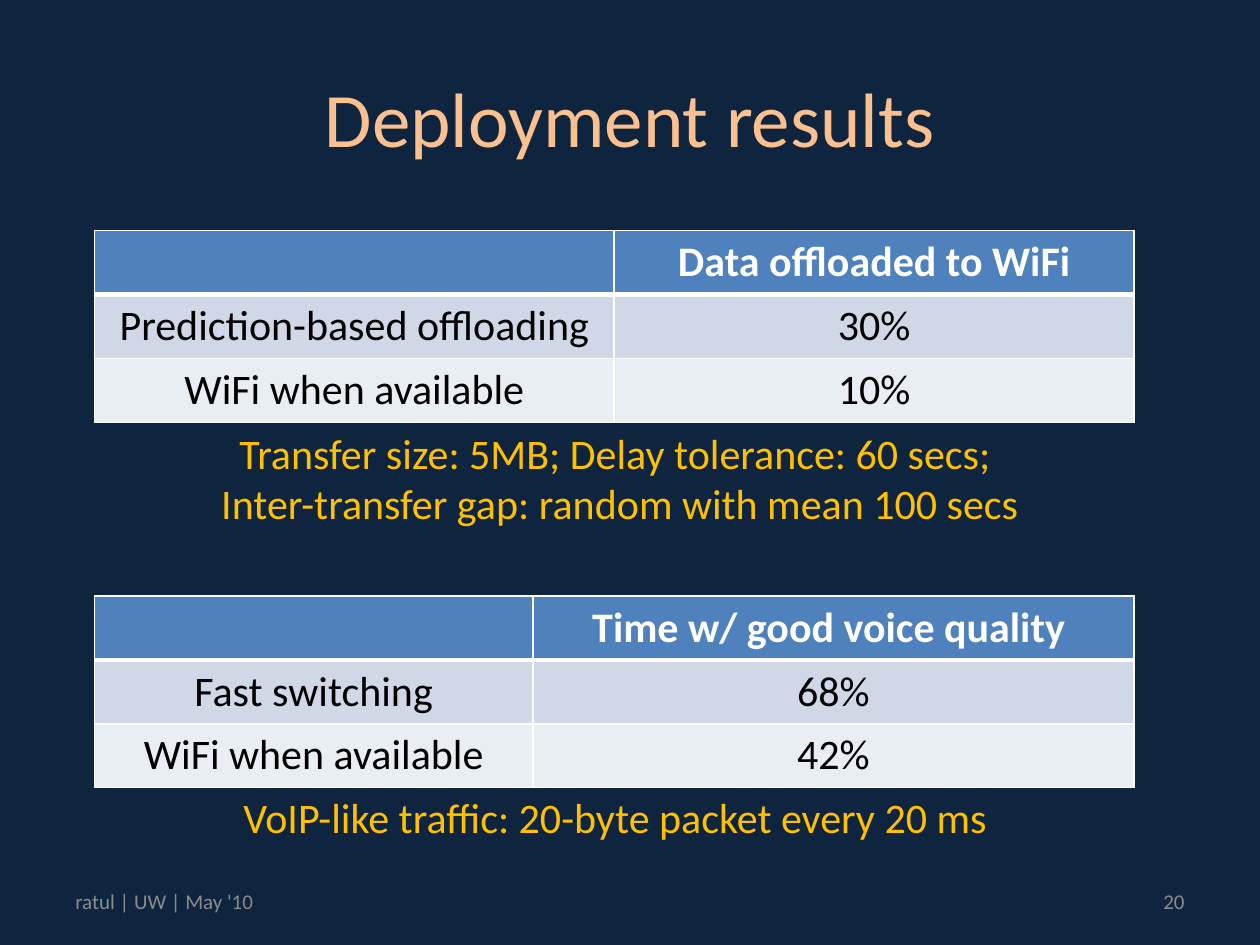
from dataclasses import dataclass
from lxml import etree
from pptx import Presentation
from pptx import util as u
from pptx.dml.color import RGBColor
from pptx.enum import text
from pptx.oxml import ns


@dataclass(frozen=True)
class Theme:
    font: str = "Calibri"
    back: str = "0F243E"
    title: str = "FAC090"
    note: str = "FFC000"
    foot: str = "8C8C8C"
    head: str = "4F81BD"
    bands: tuple = ("D0D8E8", "E9EDF4")
    light: str = "FFFFFF"
    dark: str = "000000"
    big: int = 44
    body: int = 24
    small: int = 12
    thin: int = 1
    thick: int = 3


theme = Theme()
LEFT, MID, RIGHT = text.PP_ALIGN.LEFT, text.PP_ALIGN.CENTER, text.PP_ALIGN.RIGHT
TOP, HALF = text.MSO_ANCHOR.TOP, text.MSO_ANCHOR.MIDDLE

labels = [
    (["Deployment results"], (0.5, 0.3, 9, 1.25), theme.big, theme.title, MID, HALF),
    (["Transfer size: 5MB; Delay tolerance: 60 secs; ",
      "Inter-transfer gap: random with mean 100 secs"],
     (0.67, 3.34, 8.5, 0.91), theme.body, theme.note, MID, TOP),
    (["VoIP-like traffic: 20-byte packet every 20 ms "],
     (0.67, 6.23, 8.5, 0.5), theme.body, theme.note, MID, TOP),
    (["ratul | UW | May '10"], (0.5, 6.95, 3.08, 0.4), theme.small, theme.foot, LEFT, HALF),
    (["20"], (7.17, 6.95, 2.33, 0.4), theme.small, theme.foot, RIGHT, HALF),
]

tables = [
    (1.83, (4.125, 4.125), [
        ("", "Data offloaded to WiFi"),
        ("Prediction-based offloading", "30%"),
        ("WiFi when available", "10%"),
    ]),
    (4.73, (3.48, 4.77), [
        ("", "Time w/ good voice quality "),
        ("Fast switching", "68%"),
        ("WiFi when available", "42%"),
    ]),
]
EDGE, ROW = 0.75, 0.5


def write(para, lines, size, color, align, bold=False):
    para.alignment = align
    for i, line in enumerate(lines):
        if i:
            para.add_line_break()
        run = para.add_run()
        run.text = line
        run.font.name = theme.font
        run.font.size = u.Pt(size)
        run.font.bold = bold
        run.font.color.rgb = RGBColor.from_string(color)


def label(slide, lines, place, size, color, align, anchor):
    frame = slide.shapes.add_textbox(*map(u.Inches, place)).text_frame
    frame.word_wrap = True
    frame.vertical_anchor = anchor
    write(frame.paragraphs[0], lines, size, color, align)


def border(cell, row):
    props = cell._tc.get_or_add_tcPr()
    widths = {"L": theme.thin, "R": theme.thin,
              "T": theme.thick if row == 1 else theme.thin,
              "B": theme.thick if row == 0 else theme.thin}
    for side, width in widths.items():
        line = etree.SubElement(props, ns.qn(f"a:ln{side}"), w=str(u.Pt(width)))
        fill = etree.SubElement(line, ns.qn("a:solidFill"))
        etree.SubElement(fill, ns.qn("a:srgbClr"), val=theme.light)


def grid(slide, top, cols, rows):
    place = (EDGE, top, sum(cols), ROW * len(rows))
    table = slide.shapes.add_table(len(rows), len(cols), *map(u.Inches, place)).table
    for col, width in zip(table.columns, cols):
        col.width = u.Inches(width)
    for r, row in enumerate(rows):
        for c, word in enumerate(row):
            cell = table.cell(r, c)
            border(cell, r)
            cell.fill.solid()
            tint = theme.bands[(r - 1) % 2] if r else theme.head
            cell.fill.fore_color.rgb = RGBColor.from_string(tint)
            if word:
                ink = theme.dark if r else theme.light
                write(cell.text_frame.paragraphs[0], [word], theme.body, ink, MID, r == 0)


def main():
    deck = Presentation()
    deck.slide_width, deck.slide_height = u.Inches(10), u.Inches(7.5)
    slide = deck.slides.add_slide(deck.slide_layouts[6])
    slide.background.fill.solid()
    slide.background.fill.fore_color.rgb = RGBColor.from_string(theme.back)
    for item in tables:
        grid(slide, *item)
    for item in labels:
        label(slide, *item)
    deck.save("out.pptx")


if __name__ == "__main__":
    main()
